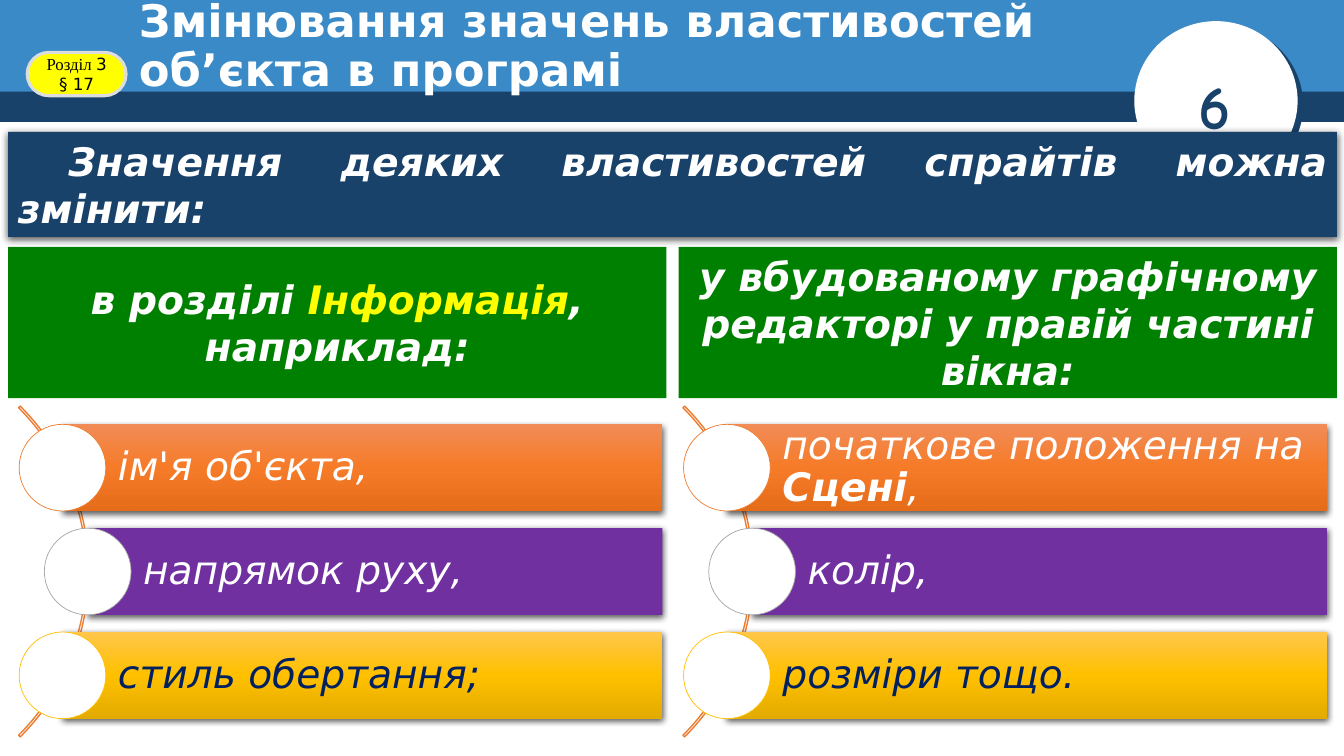
"""Build the slide on changing sprite property values."""
import copy

import lxml.etree
import pptx
import pptx.dml.color
import pptx.enum.shapes
import pptx.enum.text
import pptx.oxml.ns
import pptx.util

PX = 9144
THEME = {
    "white": "FFFFFF", "black": "000000", "navy": "19426B", "blue": "398AC7",
    "yellow": "FFFF00", "badge_edge": "DDDDDD", "green": "008000",
    "orange": "ED7D31", "orange_bar": ["F18C57", "F67B28", "E56C19"],
    "purple": "7030A0", "gray": "A5A5A5", "dark_text": "002060",
    "gold": "FFC000", "gold_bar": ["FFC64B", "FFC000", "E3AB00"],
    "font": "DejaVu Sans", "badge_font": "Times New Roman", "number_font": "Comic Neue",
    "title_size": 32, "body_size": 28, "number_size": 44, "badge_size": 12,
}
KIND = pptx.enum.shapes.MSO_SHAPE
ALIGN = pptx.enum.text.PP_ALIGN
ANCHOR = pptx.enum.text.MSO_ANCHOR
SOFT_SHADOW = ("black", 63, 4.5, 1.5, 90)
rgb = pptx.dml.color.RGBColor.from_string
qn = pptx.oxml.ns.qn

deck = pptx.Presentation()
deck.slide_width, deck.slide_height = 1333 * PX, 750 * PX
slide = deck.slides.add_slide(deck.slide_layouts[6])


def draw(kind, box, fill=None, line=None, width=1, shadow=None):
    """Add a preset shape with a solid or three-stop fill."""
    shape = slide.shapes.add_shape(kind, *[length * PX for length in box])
    shape.shadow.inherit = False
    if fill is None:
        shape.fill.background()
    elif isinstance(THEME[fill], list):
        shape.fill.gradient()
        shape.fill.gradient_angle = 270
        stops = shape._element.spPr.find(".//" + qn("a:gsLst"))
        stops.append(copy.deepcopy(stops[0]))
        for stop, position, color in zip(shape.fill.gradient_stops, (0, 0.5, 1), THEME[fill]):
            stop.position = position
            stop.color.rgb = rgb(color)
    else:
        shape.fill.solid()
        shape.fill.fore_color.rgb = rgb(THEME[fill])
    if line:
        shape.line.color.rgb = rgb(THEME[line])
        shape.line.width = pptx.util.Pt(width)
    else:
        shape.line.fill.background()
    if shadow:
        color, opacity, blur, distance, angle = shadow
        effects = shape._element.spPr.find(qn("a:effectLst"))
        outer = lxml.etree.SubElement(
            effects, qn("a:outerShdw"), blurRad=str(int(blur * 12700)),
            dist=str(int(distance * 12700)), dir=str(angle * 60000), algn="ctr", rotWithShape="0")
        tint = lxml.etree.SubElement(outer, qn("a:srgbClr"), val=THEME[color])
        lxml.etree.SubElement(tint, qn("a:alpha"), val=str(opacity * 1000))
    return shape


def write(shape, runs, size="body_size", bold=False, italic=False, align=ALIGN.LEFT,
          anchor=ANCHOR.MIDDLE, spacing=1.0, insets=(10, 5, 10, 5)):
    """Fill a shape with (text, color, overrides) runs."""
    frame = shape.text_frame
    frame.word_wrap = True
    frame.vertical_anchor = anchor
    frame.margin_left, frame.margin_top, frame.margin_right, frame.margin_bottom = [
        inset * PX for inset in insets]
    paragraph = frame.paragraphs[0]
    paragraph.alignment = align
    paragraph.line_spacing = spacing
    for text, color, overrides in runs:
        run = paragraph.add_run()
        run.text = text
        run.font.name = THEME[overrides.get("font", "font")]
        run.font.size = pptx.util.Pt(THEME[size])
        run.font.bold = overrides.get("bold", bold)
        run.font.italic = italic
        run.font.color.rgb = rgb(THEME[color])
    return paragraph


draw(KIND.RECTANGLE, (0, 87, 1333, 34), "navy")
draw(KIND.RECTANGLE, (0, 0, 1333, 91), "blue")
draw(KIND.OVAL, (1125, 21, 162, 158), "white", shadow=("navy", 100, 0, 5, 37))

page_number = slide.shapes.add_textbox(1179 * PX, 62 * PX, 83 * PX, 84 * PX)
write(page_number, [("6", "navy", {"font": "number_font"})], "number_size",
      bold=True, anchor=ANCHOR.TOP)

title = slide.shapes.add_textbox(128 * PX, 18 * PX, 990 * PX, 58 * PX)
write(title, [("Змінювання значень властивостей об’єкта в програмі", "white", {})],
      "title_size", bold=True, spacing=0.9)

badge = draw(KIND.ROUNDED_RECTANGLE, (27, 52, 98, 43), "yellow", "badge_edge", 2.25)
badge.adjustments[0] = 0.5
write(badge, [("Розділ ", "black", {"font": "badge_font"}), ("3 § 17", "black", {})],
      "badge_size", align=ALIGN.CENTER)

intro = draw(KIND.RECTANGLE, (8, 131, 1318, 104), "navy", shadow=SOFT_SHADOW)
intro_line = write(
    intro, [("Значення деяких властивостей спрайтів можна змінити:", "white", {})],
    bold=True, italic=True, align=ALIGN.JUSTIFY, anchor=ANCHOR.TOP)
intro_line._p.get_or_add_pPr().set("indent", str(50 * PX))

headings = [
    [("в розділі ", "white", {}), ("Інформація", "yellow", {}), (", наприклад:", "white", {})],
    [("у вбудованому графічному редакторі у правій частині вікна:", "white", {})],
]
for column, heading in enumerate(headings):
    panel = draw(KIND.RECTANGLE, (8 + 665 * column, 245, 653, 150), "green")
    write(panel, heading, bold=True, italic=True, align=ALIGN.CENTER)

row_styles = [
    ("orange_bar", "orange", "white", 0),
    ("purple", "gray", "white", 25),
    ("gold_bar", "gold", "dark_text", 0),
]
property_lists = [
    [[("ім'я об'єкта,", {})], [("напрямок руху,", {})], [("стиль обертання;", {})]],
    [[("початкове положення на ", {}), ("Сцені", {"bold": True}), (",", {})],
     [("колір,", {})], [("розміри тощо.", {})]],
]
for column, properties in enumerate(property_lists):
    shift = 659 * column
    arc = draw(KIND.BLOCK_ARC, (shift - 376, 335, 464, 464), line="orange")
    for index, value in enumerate((189, 27, 0.005)):
        arc.adjustments[index] = value
    for row, (wording, style) in enumerate(zip(properties, row_styles)):
        bar_fill, ring, text_color, indent = style
        left, top = shift + 62 + indent, 421 + 103 * row
        bar = draw(KIND.RECTANGLE, (left, top, 595 - indent, 86), bar_fill, shadow=SOFT_SHADOW)
        write(bar, [(text, text_color, overrides) for text, overrides in wording],
              italic=True, spacing=0.9, insets=(55, 8, 8, 8))
        draw(KIND.OVAL, (left - 43, top, 86, 86), "white", ring, 0.5)

deck.save("out.pptx")
